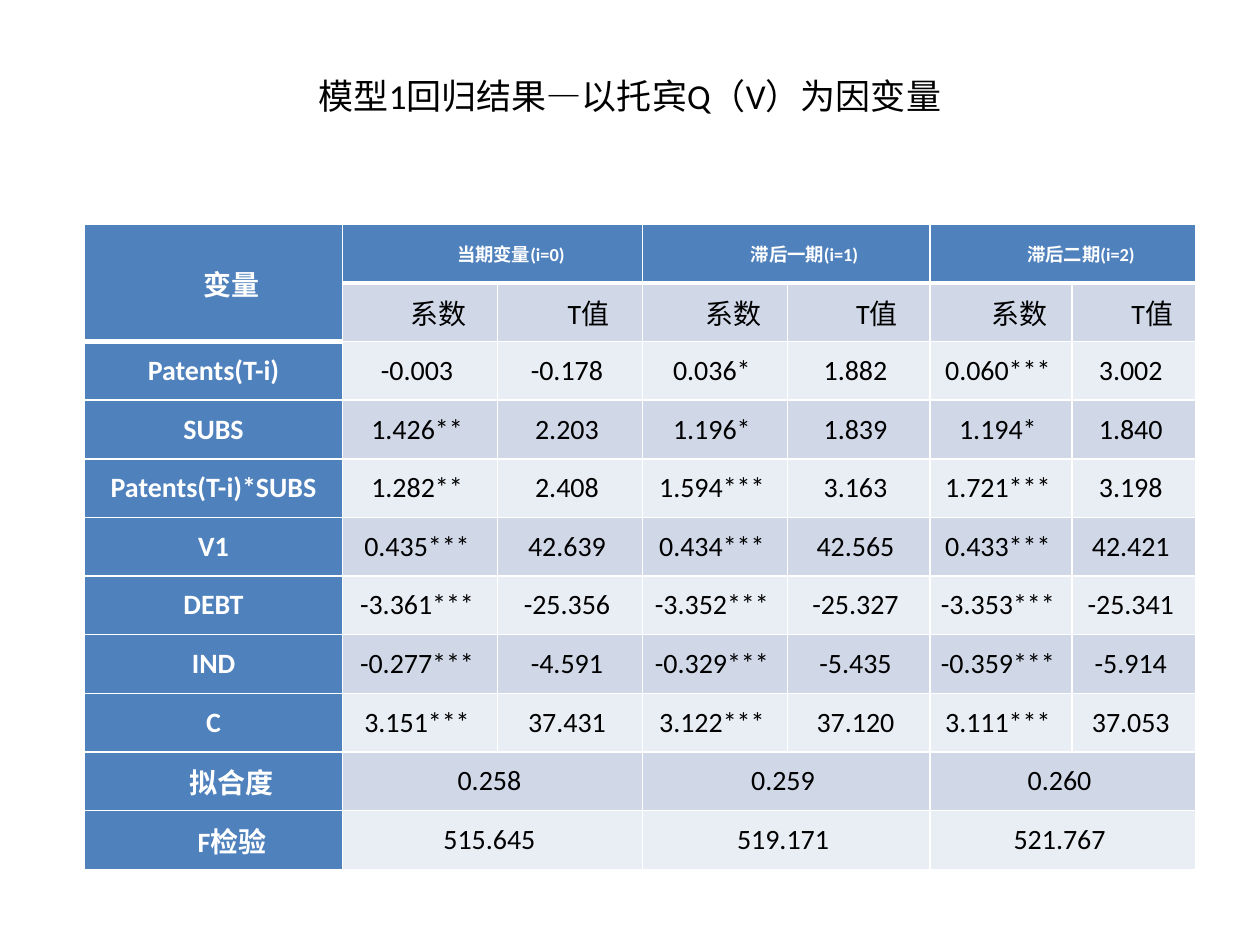
from lxml.etree import SubElement
from pptx import Presentation
from pptx.dml.color import RGBColor
from pptx.enum.text import MSO_ANCHOR, PP_ALIGN
from pptx.oxml.ns import qn
from pptx.util import Inches, Pt

COLORS = {"text": "000000", "light": "FFFFFF", "head": "4F81BD",
          "band": "D0D8E8", "pale": "E9EDF4"}
FONT = "Calibri"
WIDTH, HEIGHT = 10, 7.5


def write(frame, text, size=16, color="text", bold=False, indent=0.0):
    """Put one centred, formatted line into a text frame."""
    frame.text = text
    paragraph = frame.paragraphs[0]
    paragraph.alignment = PP_ALIGN.CENTER
    if indent:
        paragraph._p.get_or_add_pPr().set("indent", str(Inches(indent)))
    font = paragraph.runs[0].font
    font.name, font.size, font.bold = FONT, Pt(size), bold
    font.color.rgb = RGBColor.from_string(COLORS[color])


class ResultSlide:
    def __init__(self, deck):
        self.slide = deck.slides.add_slide(deck.slide_layouts[5])

    def title(self, text, left, top, width, height):
        """Place the title; lengths are shares of the slide."""
        title = self.slide.shapes.title
        title.left, title.width = Inches(left * WIDTH), Inches(width * WIDTH)
        title.top, title.height = Inches(top * HEIGHT), Inches(height * HEIGHT)
        frame = title.text_frame
        frame.vertical_anchor = MSO_ANCHOR.MIDDLE
        frame.margin_bottom = Inches(0.38)
        write(frame, text, size=20)

    def table(self, rows, left, top, columns, height):
        """Place an empty table; column widths are in inches."""
        frame = self.slide.shapes.add_table(
            rows, len(columns), Inches(left), Inches(top),
            Inches(sum(columns)), Inches(height))
        grid = frame.table
        grid.first_row = grid.horz_banding = False
        for column, width in zip(grid.columns, columns):
            column.width = Inches(width)
        for row in grid.rows:
            row.height = Inches(height / rows)
        return grid

    def borders(self, cell, top=1, bottom=1):
        properties = cell._tc.get_or_add_tcPr()
        for side, points in (("L", 1), ("R", 1), ("T", top), ("B", bottom)):
            line = SubElement(properties, qn(f"a:ln{side}"), w=str(Pt(points)))
            fill = SubElement(line, qn("a:solidFill"))
            SubElement(fill, qn("a:srgbClr"), val=COLORS["light"])

    def cell(self, cell, text, fill, top=1, bottom=1, right=0.07, **style):
        self.borders(cell, top, bottom)
        cell.fill.solid()
        cell.fill.fore_color.rgb = RGBColor.from_string(COLORS[fill])
        cell.vertical_anchor = MSO_ANCHOR.MIDDLE
        cell.margin_left, cell.margin_right = Inches(0.07), Inches(right)
        cell.margin_top = cell.margin_bottom = 0
        if text:
            write(cell.text_frame, text, **style)


PERIODS = ["当期变量(i=0)", "滞后一期(i=1)", "滞后二期(i=2)"]
COEFFICIENTS = [
    ("Patents(T-i)", "-0.003 -0.178 0.036* 1.882 0.060*** 3.002"),
    ("SUBS", "1.426** 2.203 1.196* 1.839 1.194* 1.840"),
    ("Patents(T-i)*SUBS", "1.282** 2.408 1.594*** 3.163 1.721*** 3.198"),
    ("V1", "0.435*** 42.639 0.434*** 42.565 0.433*** 42.421"),
    ("DEBT", "-3.361*** -25.356 -3.352*** -25.327 -3.353*** -25.341"),
    ("IND", "-0.277*** -4.591 -0.329*** -5.435 -0.359*** -5.914"),
    ("C", "3.151*** 37.431 3.122*** 37.120 3.111*** 37.053"),
]
FIT_TESTS = [("拟合度", "0.258 0.259 0.260"),
             ("F检验", "515.645 519.171 521.767")]


def spread(values):
    """Leave the second column of each period empty for merging."""
    return [text for value in values for text in (value, "")]


deck = Presentation()
deck.slide_width, deck.slide_height = Inches(WIDTH), Inches(HEIGHT)
page = ResultSlide(deck)
page.title("模型1回归结果—以托宾Q（V）为因变量", 0.05, 0.04, 0.9, 0.167)

# All rows, with merged periods spread over two columns
rows = [["变量"] + spread(PERIODS), [""] + ["系数", "T值"] * 3]
rows += [[name] + values.split() for name, values in COEFFICIENTS]
rows += [[name] + spread(values.split()) for name, values in FIT_TESTS]
results = page.table(len(rows), 0.67, 1.78,
                     [2.05, 1.23, 1.15, 1.15, 1.13, 1.13, 0.98], 5.12)

# Header cells, variable names and values
first_fit = len(rows) - len(FIT_TESTS)
for r, row in enumerate(rows):
    for c, text in enumerate(row):
        period_head = r == 0 and c > 0
        is_head = r == 0 or c == 0
        is_value = r > 1 and c > 0
        indented = r < 2 or (c == 0 and r >= first_fit)
        page.cell(
            results.cell(r, c), text,
            fill="head" if is_head else "band" if r % 2 else "pale",
            top=3 if (r, c > 0) in ((1, True), (2, False)) else 1,
            bottom=3 if r == 0 or (r == 1 and c == 0) else 1,
            right=0.12 if is_value else 0.07,
            size=10.5 if period_head else 16,
            color="light" if is_head else "text",
            bold=is_head, indent=0.29 if indented else 0)

# Merged cells
results.cell(0, 0).merge(results.cell(1, 0))
for r in (0, *range(first_fit, len(rows))):
    for c in (1, 3, 5):
        results.cell(r, c).merge(results.cell(r, c + 1))

deck.save("out.pptx")
